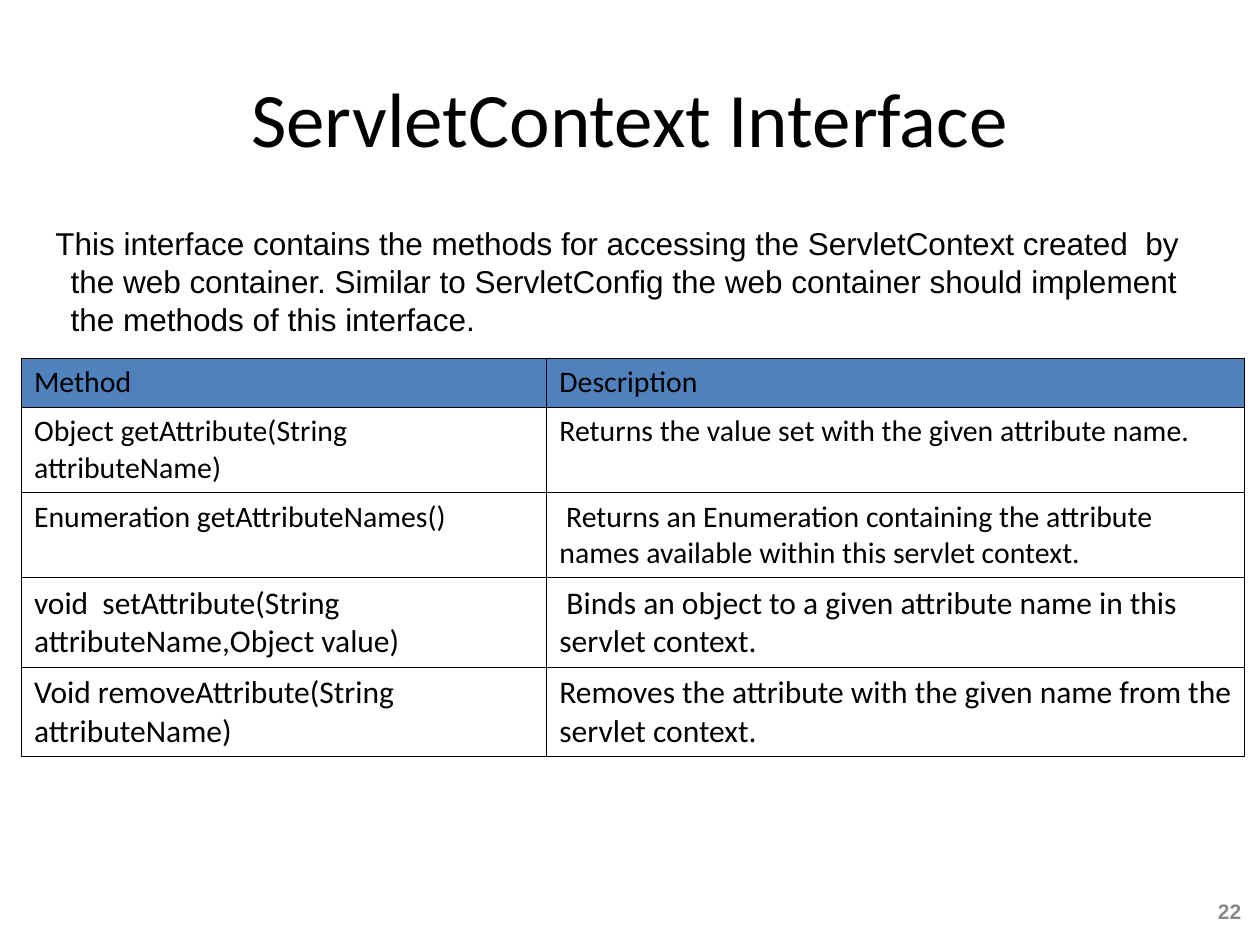
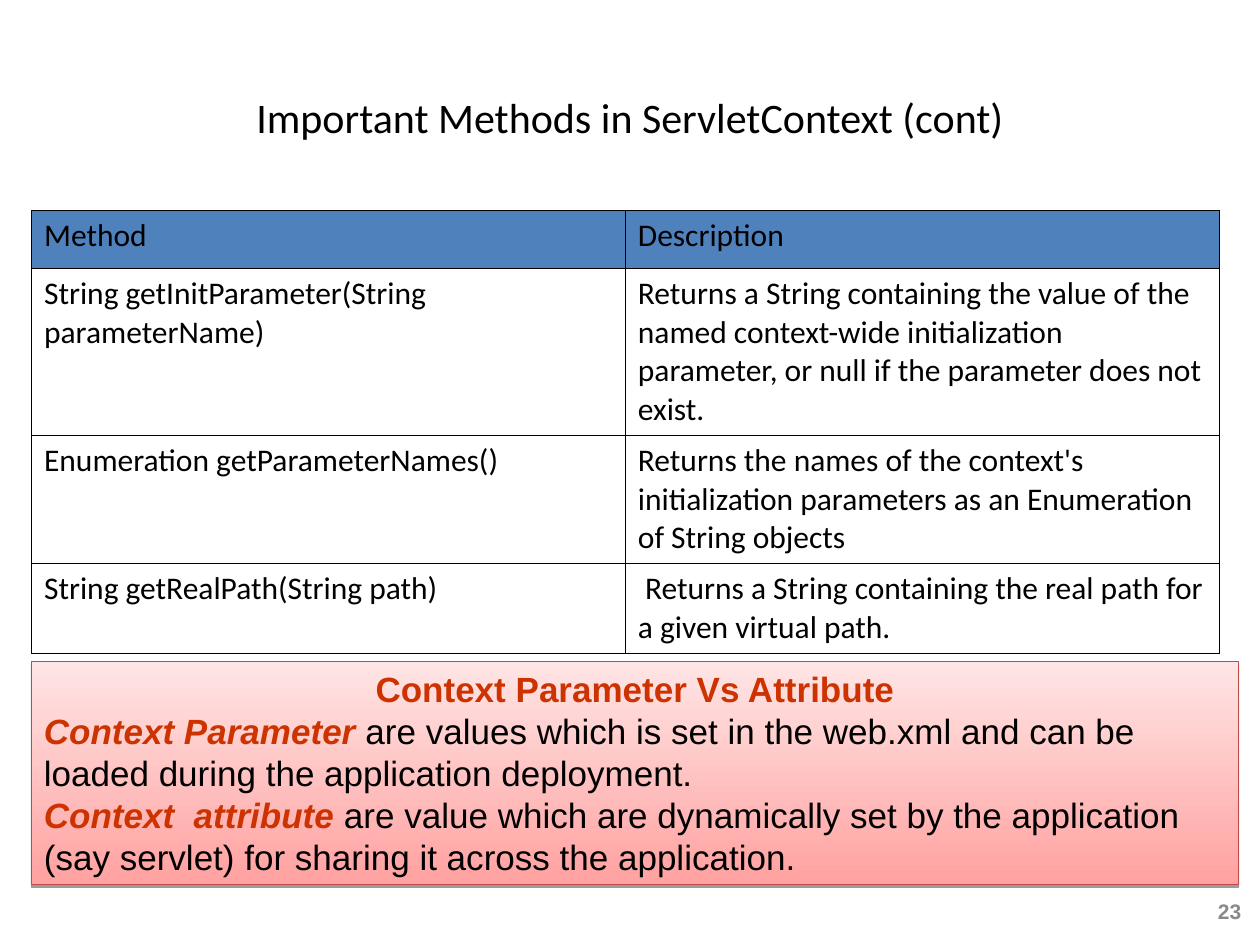
"""Builds two slides on the methods of the ServletContext interface."""
from lxml import etree
from pptx import Presentation
from pptx.dml.color import RGBColor
from pptx.enum.shapes import MSO_SHAPE
from pptx.enum.text import MSO_ANCHOR, MSO_AUTO_SIZE, PP_ALIGN
from pptx.oxml import parse_xml
from pptx.oxml.ns import qn
from pptx.util import Pt

RECT = MSO_SHAPE.RECTANGLE
TOP, MIDDLE = MSO_ANCHOR.TOP, MSO_ANCHOR.MIDDLE
LEFT, CENTER, RIGHT = PP_ALIGN.LEFT, PP_ALIGN.CENTER, PP_ALIGN.RIGHT
FIXED = MSO_AUTO_SIZE.NONE

SANS, HEAD = "Arial", "Calibri"
BLACK, GREY, BLUE, RED = "000000", "898989", "4F81BD", "CC3300"
PINK, PALE, EDGE = "FFA2A1", "FFE5E5", "BE4B48"
LEAD = 1.2
NS = 'xmlns:a="http://schemas.openxmlformats.org/drawingml/2006/main"'
FIRST = 22

INTRO = (
    "This interface contains the methods for accessing the ServletContext created  by "
    "the web container. Similar to ServletConfig the web container should implement "
    "the methods of this interface."
)
NOTE_HEAD = "Context Parameter Vs Attribute"
NOTES = [
    ("Context Parameter ", "are values which is set in the web.xml and can be "
     "loaded during the application deployment."),
    ("Context  attribute ", "are value which are dynamically set by the application "
     "(say servlet) for sharing it across the application."),
]
HEADER = ("Method", "Description")
PAGES = [
    {
        "title": ("ServletContext Interface", 44),
        "layout": 1,
        "place": (12.24, 204.48),
        "cols": (300.24, 398.88),
        "rows": [
            (28.08, 17, HEADER),
            (48.24, 17, ("Object getAttribute(String attributeName)",
                         "Returns the value set with the given attribute name.")),
            (48.24, 17, ("Enumeration getAttributeNames()",
                         " Returns an Enumeration containing the attribute names "
                         "available within this servlet context.")),
            (50.4, 18, ("void  setAttribute(String attributeName,Object value)",
                        " Binds an object to a given attribute name in this "
                        "servlet context.")),
            (50.4, 18, ("Void removeAttribute(String attributeName)",
                        "Removes the attribute with the given name from the "
                        "servlet context.")),
        ],
    },
    {
        "title": ("Important Methods in ServletContext (cont)", 24),
        "layout": 5,
        "place": (18, 120.24),
        "cols": (339.36, 339.36),
        "rows": [
            (33.12, 18, HEADER),
            (95.4, 18, ("String getInitParameter(String parameterName)",
                        "Returns a String containing the value of the named "
                        "context-wide initialization parameter, or null if the "
                        "parameter does not exist.")),
            (73.1, 18, ("Enumeration getParameterNames()",
                        "Returns the names of the context's initialization "
                        "parameters as an Enumeration of String objects")),
            (51.2, 18, ("String getRealPath(String path)",
                        " Returns a String containing the real path for a given "
                        "virtual path.")),
        ],
    },
]


def color(code):
    return RGBColor.from_string(code)


def box(*nums):
    return [Pt(num) for num in nums]


def move(shape, *nums):
    shape.left, shape.top, shape.width, shape.height = box(*nums)


def style(para, size, face, tint=BLACK, align=LEFT, bold=False):
    font = para.font
    font.size, font.name, font.bold = Pt(size), face, bold
    font.color.rgb = color(tint)
    para.alignment = align


def frame(shape, anchor=TOP):
    text = shape.text_frame
    text.word_wrap = True
    text.auto_size = FIXED
    text.vertical_anchor = anchor
    return text


def add_title(slide, words, size):
    title = slide.shapes.title
    move(title, 36, 21.6, 648, 90)
    text = frame(title, MIDDLE)
    text.text = words
    style(text.paragraphs[0], size, HEAD, align=CENTER)


def add_number(slide, num):
    label = slide.shapes.add_textbox(*box(681.12, 508.32, 35.28, 25.2))
    text = frame(label, MIDDLE)
    text.text = str(num)
    style(text.paragraphs[0], 12, SANS, GREY, RIGHT, True)


def add_intro(slide):
    body = slide.placeholders[1]
    move(body, 5.76, 124.56, 702, 55.44)
    text = frame(body)
    text.text = INTRO
    para = text.paragraphs[0]
    style(para, 18, SANS)
    para.space_before = Pt(0)
    para.line_spacing = Pt(18 * LEAD)
    props = para._p.get_or_add_pPr()
    props.set("marL", str(Pt(27.36)))
    props.set("indent", str(Pt(-8.64)))
    props.insert_element_before(parse_xml(f"<a:buNone {NS}/>"), "a:tabLst", "a:defRPr")


def rule(cell):
    props = cell._tc.get_or_add_tcPr()
    for spot, side in enumerate("LRTB"):
        props.insert(spot, parse_xml(
            f'<a:ln{side} {NS} w="{Pt(0.45)}"><a:solidFill>'
            f'<a:srgbClr val="{BLACK}"/></a:solidFill></a:ln{side}>'))


def add_grid(slide, place, cols, rows):
    high = sum(row[0] for row in rows)
    grid = slide.shapes.add_table(
        len(rows), len(cols), *box(*place, sum(cols), high)).table
    grid.first_row = grid.horz_banding = False
    for col, wide in zip(grid.columns, cols):
        col.width = Pt(wide)
    for r, (tall, size, texts) in enumerate(rows):
        grid.rows[r].height = Pt(tall)
        for c, words in enumerate(texts):
            cell = grid.cell(r, c)
            cell.text = words
            style(cell.text_frame.paragraphs[0], size, HEAD)
            if r == 0:
                cell.fill.solid()
                cell.fill.fore_color.rgb = color(BLUE)
            else:
                cell.fill.background()
            rule(cell)


def add_shade(shape):
    shape.shadow.inherit = False
    glow = shape._element.spPr.find(qn("a:effectLst"))
    outer = etree.SubElement(glow, qn("a:outerShdw"), blurRad="0",
                             dist=str(Pt(1.6)), dir="5400000", rotWithShape="0")
    tint = etree.SubElement(outer, qn("a:srgbClr"), val=BLACK)
    etree.SubElement(tint, qn("a:alpha"), val="38000")


def add_notes(slide):
    panel = slide.shapes.add_shape(RECT, *box(18, 378, 689.76, 127.44))
    panel.fill.gradient()
    panel.fill.gradient_angle = 90
    for stop, tint in zip(panel.fill.gradient_stops, (PINK, PALE)):
        stop.color.rgb = color(tint)
    panel.line.color.rgb = color(EDGE)
    panel.line.width = Pt(0.75)
    add_shade(panel)
    text = frame(panel)
    head = text.paragraphs[0]
    head.text = NOTE_HEAD
    style(head, 20, SANS, RED, CENTER, True)
    for term, words in NOTES:
        para = text.add_paragraph()
        style(para, 20, SANS)
        key = para.add_run()
        key.text = term
        key.font.bold = key.font.italic = True
        key.font.color.rgb = color(RED)
        rest = para.add_run()
        rest.text = words
        rest.font.color.rgb = color(BLACK)
    for para in text.paragraphs:
        para.line_spacing = Pt(20 * LEAD)


def main():
    deck = Presentation()
    deck.slide_width, deck.slide_height = box(720, 540)
    slides = []
    for num, page in enumerate(PAGES, FIRST):
        slide = deck.slides.add_slide(deck.slide_layouts[page["layout"]])
        add_title(slide, *page["title"])
        add_number(slide, num)
        add_grid(slide, page["place"], page["cols"], page["rows"])
        slides.append(slide)
    add_intro(slides[0])
    add_notes(slides[1])
    deck.save("out.pptx")


if __name__ == "__main__":
    main()
